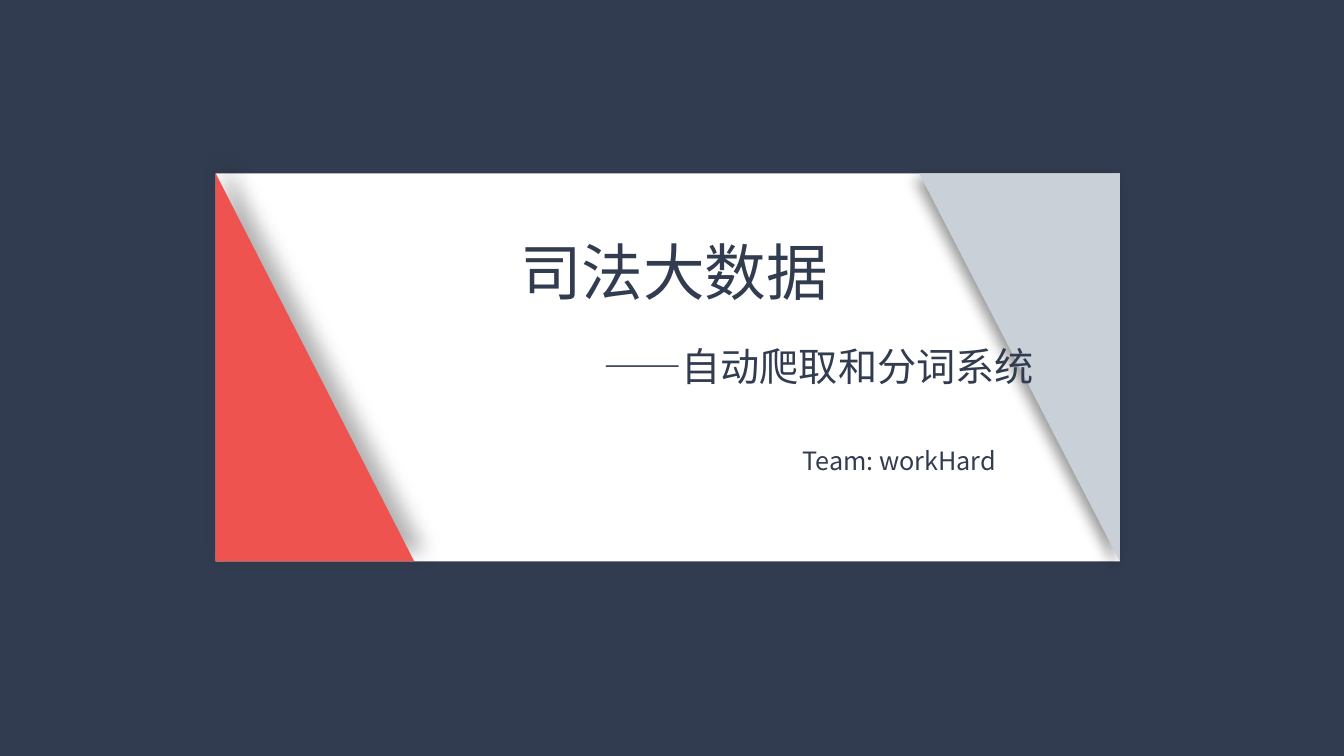
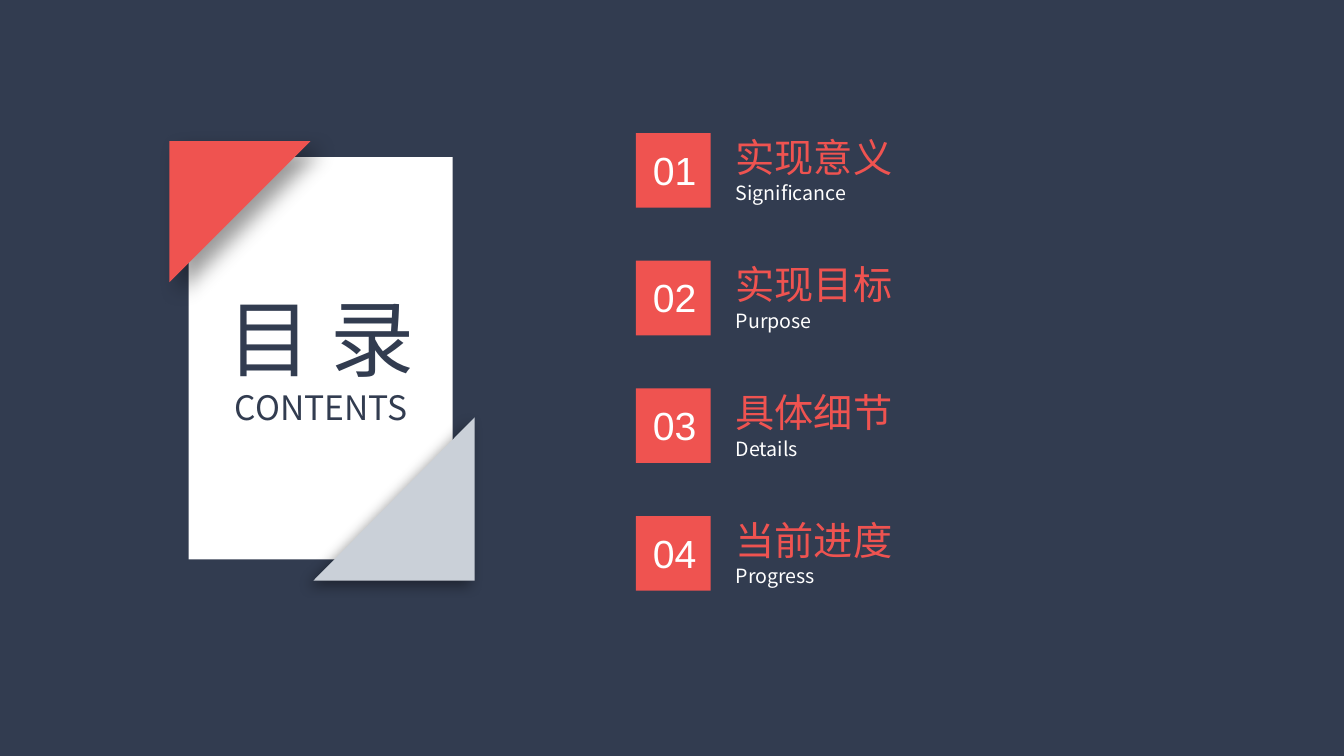
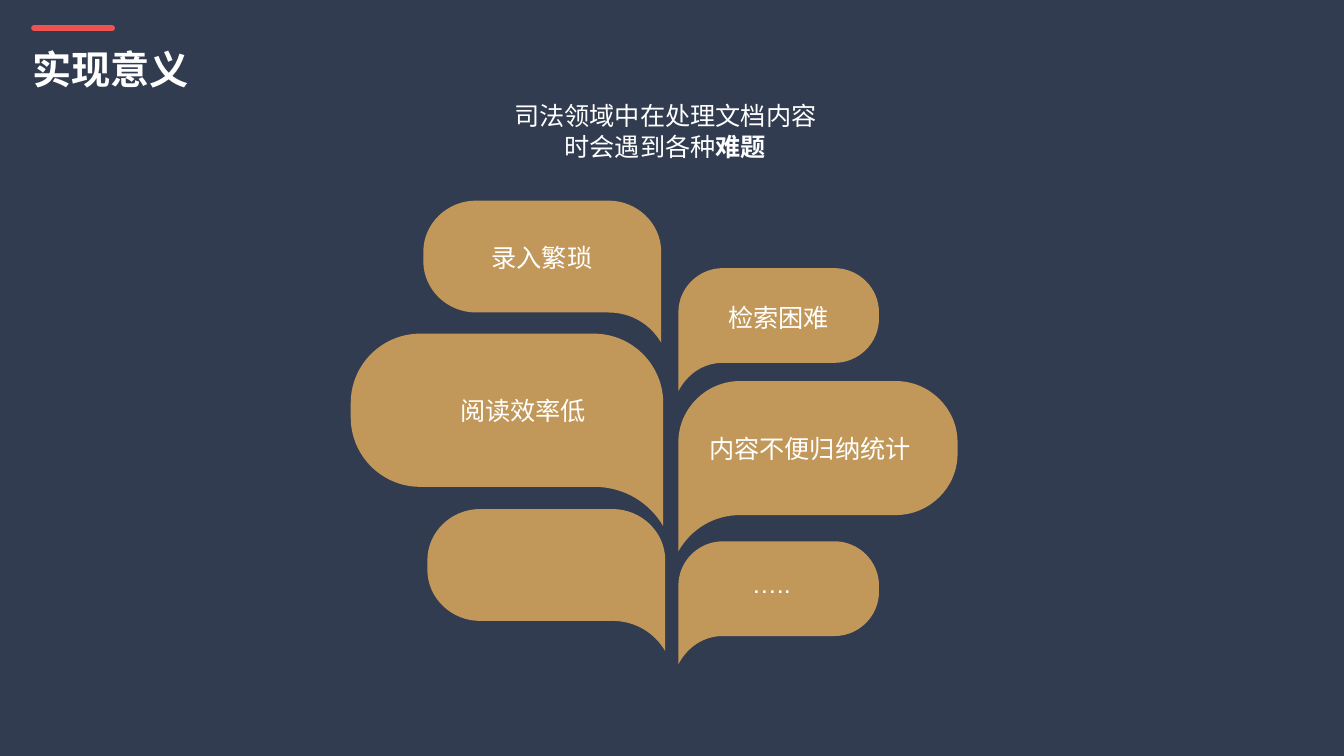
import dataclasses

import lxml.etree
import pptx
import pptx.dml.color
import pptx.enum.shapes
import pptx.enum.text
import pptx.oxml.ns
import pptx.util

Inches = pptx.util.Inches
Pt = pptx.util.Pt
Kind = pptx.enum.shapes.MSO_SHAPE
Align = pptx.enum.text.PP_ALIGN
qn = pptx.oxml.ns.qn


@dataclasses.dataclass(frozen=True)
class Theme:
    navy: str = "323C50"
    red: str = "EF5350"
    grey: str = "CAD0D8"
    gold: str = "C19859"
    white: str = "FFFFFF"
    black: str = "000000"
    sans: str = "Noto Sans CJK SC"
    body: str = "Noto Sans CJK JP"
    latin: str = "Arial"
    huge: int = 60
    title: int = 44
    head: int = 28
    label: int = 24
    text: int = 18
    small: int = 14


THEME = Theme()


@dataclasses.dataclass(frozen=True)
class Shade:
    """Outer shadow: opacity in percent, blur and distance in points."""
    alpha: int
    blur: int
    dist: int
    angle: int


def rgb(color):
    return pptx.dml.color.RGBColor.from_string(color)


def inches(*values):
    return [Inches(value) for value in values]


def paint(shape, color):
    shape.shadow.inherit = False
    shape.fill.solid()
    shape.fill.fore_color.rgb = rgb(color)
    shape.line.fill.background()


def cast(shape, shade):
    """Give a painted shape an outer shadow."""
    effects = shape._element.spPr.find(qn("a:effectLst"))
    outer = lxml.etree.SubElement(
        effects, qn("a:outerShdw"), blurRad=str(Pt(shade.blur)),
        dist=str(Pt(shade.dist)), dir=str(shade.angle * 60000),
        algn="ctr", rotWithShape="0")
    color = lxml.etree.SubElement(outer, qn("a:srgbClr"), val=THEME.black)
    lxml.etree.SubElement(color, qn("a:alpha"), val=str(shade.alpha * 1000))


def block(slide, box, color):
    shape = slide.shapes.add_shape(Kind.RECTANGLE, *inches(*box))
    paint(shape, color)


def rule(slide, left, top, width, color, weight):
    """Horizontal line."""
    line = slide.shapes.add_connector(
        pptx.enum.shapes.MSO_CONNECTOR.STRAIGHT,
        *inches(left, top, left + width, top))
    line.line.color.rgb = rgb(color)
    line.line.width = Pt(weight)
    lxml.etree.SubElement(line._element.spPr, qn("a:effectLst"))
    return line


def corner(slide, box, color, turn, shade):
    """Right triangle filling half of box; turn 0 has its right angle bottom left."""
    left, top, width, height = box
    if turn % 180:
        left, top = left + (width - height) / 2, top + (height - width) / 2
        width, height = height, width
    shape = slide.shapes.add_shape(
        Kind.RIGHT_TRIANGLE, *inches(left, top, width, height))
    shape.rotation = turn
    paint(shape, color)
    cast(shape, shade)


def style(run, size, color, font, bold):
    run.font.size = Pt(size)
    run.font.bold = bold
    run.font.name = font
    run.font.color.rgb = rgb(color)
    east = lxml.etree.Element(qn("a:ea"), typeface=font)
    run.font._element.find(qn("a:latin")).addnext(east)


def write(slide, box, words, size, color=THEME.white, font=THEME.sans,
          align=Align.LEFT, wrap=True, bold=False, strong=""):
    """Text box; strong is a bold ending of the last line."""
    frame = slide.shapes.add_textbox(*inches(*box)).text_frame
    frame.word_wrap = wrap
    frame.auto_size = pptx.enum.text.MSO_AUTO_SIZE.SHAPE_TO_FIT_TEXT
    frame.text = words
    for line in frame.paragraphs:
        line.alignment = align
        for run in line.runs:
            style(run, size, color, font, bold)
    if strong:
        run = frame.paragraphs[-1].add_run()
        run.text = strong
        style(run, size, color, font, True)
    return frame


def bend(segment, first, second):
    """Turn a straight segment of an outline into a cubic curve."""
    segment.tag = qn("a:cubicBezTo")
    for index, (x, y) in enumerate((first, second)):
        point = lxml.etree.Element(
            qn("a:pt"), x=str(Inches(x)), y=str(Inches(y)))
        segment.insert(index, point)


def leaf(slide, box, base, tail):
    """Round bubble, base high, whose tail drops at the 'left' or 'right' edge."""
    left, top, width, height = box
    rx, ry, drop = 0.222 * width, 0.36 * height, height - base
    kx, ky = 0.45 * rx, 0.45 * ry

    def side(x, y):
        return (width - x, y) if tail == "left" else (x, y)

    # Each step: end point, then the two control points of a curve.
    steps = [
        ((width - rx, base), (width - 0.2 * rx, height - 0.6 * drop),
         (width - 0.56 * rx, base)),
        ((rx, base),),
        ((0, base - ry), (kx, base), (0, base - ky)),
        ((0, ry),),
        ((rx, 0), (0, ky), (kx, 0)),
        ((width - rx, 0),),
        ((width, ry), (width - kx, 0), (width, ky)),
    ]
    steps = [[side(*point) for point in step] for step in steps]
    x, y = side(width, height)
    build = slide.shapes.build_freeform(*inches(left + x, top + y))
    build.add_line_segments(
        [inches(left + step[0][0], top + step[0][1]) for step in steps],
        close=True)
    shape = build.convert_to_shape()
    segments = list(shape._element.spPr.iter(qn("a:lnTo")))
    for segment, step in zip(segments, steps):
        if len(step) > 1:
            bend(segment, *step[1:])
    paint(shape, THEME.gold)


def heading(slide, left, top, words):
    bar = rule(slide, left, top, 0.77, THEME.red, 4.5)
    bar.line._ln.set("cap", "rnd")
    write(slide, (left - 0.12, top + 0.12, 1.77, 0.57), words,
          THEME.head, wrap=False, bold=True)


def cover(slide, box):
    left, top, width, height = box
    red, grey = 1.97, 1.99
    block(slide, box, THEME.white)
    corner(slide, (left, top, red, height), THEME.red, 0,
           Shade(30, 15, 10, 315))
    corner(slide, (left + width - grey, top, grey, height), THEME.grey, 180,
           Shade(40, 10, 5, 135))
    rule(slide, left + 4.54, top + 2.53, 0.35, THEME.white, 2)
    lines = [
        (1.49, 0.55, 6.12, 0.84, "司法大数据", THEME.title),
        (4.52, 2.65, 4.52, 0.4, "Team: workHard", THEME.text),
        (2.92, 1.63, 6.12, 0.57, "——自动爬取和分词系统", THEME.head),
    ]
    for x, y, wide, high, words, size in lines:
        write(slide, (left + x, top + y, wide, high), words, size,
              THEME.navy, align=Align.CENTER)


def card(slide, box):
    """White contents card with two folded corners."""
    left, top, width, height = box
    block(slide, box, THEME.white)
    corner(slide, (left - 0.19, top - 0.16, 1.4, 1.4), THEME.red, 90,
           Shade(40, 15, 10, 45))
    frame = write(slide, (left + 0.22, top + 1.23, 2.19, 1.51),
                  "目 录\nCONTENTS", THEME.huge, THEME.navy,
                  align=Align.CENTER, wrap=False)
    frame.paragraphs[1].runs[0].font.size = Pt(THEME.label)
    corner(slide, (left + width - 1.38, top + height - 1.41, 1.6, 1.62),
           THEME.grey, 270, Shade(40, 10, 5, 135))


def entry(slide, left, top, number, name, english, width):
    block(slide, (left, top, 0.74, 0.74), THEME.red)
    write(slide, (left + 0.07, top + 0.08, 0.64, 0.57), f"{number:02}",
          THEME.head, font=THEME.latin, wrap=False)
    write(slide, (left + 0.89, top + 0.43, width, 0.34), english,
          THEME.small, wrap=False)
    write(slide, (left + 0.89, top - 0.05, 2.95, 0.57), name,
          THEME.head, THEME.red)


def agenda(slide, left, top, height):
    entries = [
        ("实现意义", "Significance", 1.36),
        ("实现目标", "Purpose", 0.98),
        ("具体细节", "Details", 0.87),
        ("当前进度", "Progress", 1.02),
    ]
    pitch = height / (len(entries) - 1)
    for index, parts in enumerate(entries):
        entry(slide, left, top + index * pitch, index + 1, *parts)


def tree(slide, left, top):
    """Leaves on both sides of a stem, and their labels."""
    leaves = [
        ((0, 1.32, 3.1, 1.91), 1.52, "right"),
        ((0.72, 0, 2.36, 1.41), 1.11, "right"),
        ((3.25, 1.79, 2.77, 1.69), 1.33, "left"),
        ((3.25, 0.67, 1.99, 1.22), 0.94, "left"),
        ((0.76, 3.06, 2.36, 1.41), 1.11, "right"),
        ((3.25, 3.38, 1.99, 1.22), 0.94, "left"),
    ]
    labels = [
        (1.29, 0.36, 1.21, "录入繁琐"),
        (3.21, 0.96, 2.07, "检索困难"),
        (0.6, 1.88, 2.22, "阅读效率低"),
        (3.39, 2.26, 2.33, "内容不便归纳统计"),
    ]
    for (x, y, width, height), base, tail in leaves:
        leaf(slide, (left + x, top + y, width, height), base, tail)
    for x, y, width, words in labels:
        write(slide, (left + x, top + y, width, 0.4), words, THEME.text,
              font=THEME.body, align=Align.CENTER)
    write(slide, (left + 3.88, top + 3.6, 2.01, 0.4), "…..", THEME.text,
          font=THEME.latin)


def main():
    deck = pptx.Presentation()
    deck.slide_width, deck.slide_height = inches(40 / 3, 7.5)

    def page():
        slide = deck.slides.add_slide(deck.slide_layouts[6])
        slide.background.fill.solid()
        slide.background.fill.fore_color.rgb = rgb(THEME.navy)
        return slide

    cover(page(), (2.14, 1.72, 8.97, 3.85))

    contents = page()
    card(contents, (1.87, 1.56, 2.62, 3.99))
    agenda(contents, 6.31, 1.32, 3.8)

    meaning = page()
    heading(meaning, 0.34, 0.28, "实现意义")
    tree(meaning, 3.48, 1.99)
    write(meaning, (4.98, 0.95, 3.24, 0.71), "司法领域中在处理文档内容时会遇到各种",
          THEME.text, font=THEME.body, align=Align.CENTER, strong="难题")

    deck.save("out.pptx")


if __name__ == "__main__":
    main()
